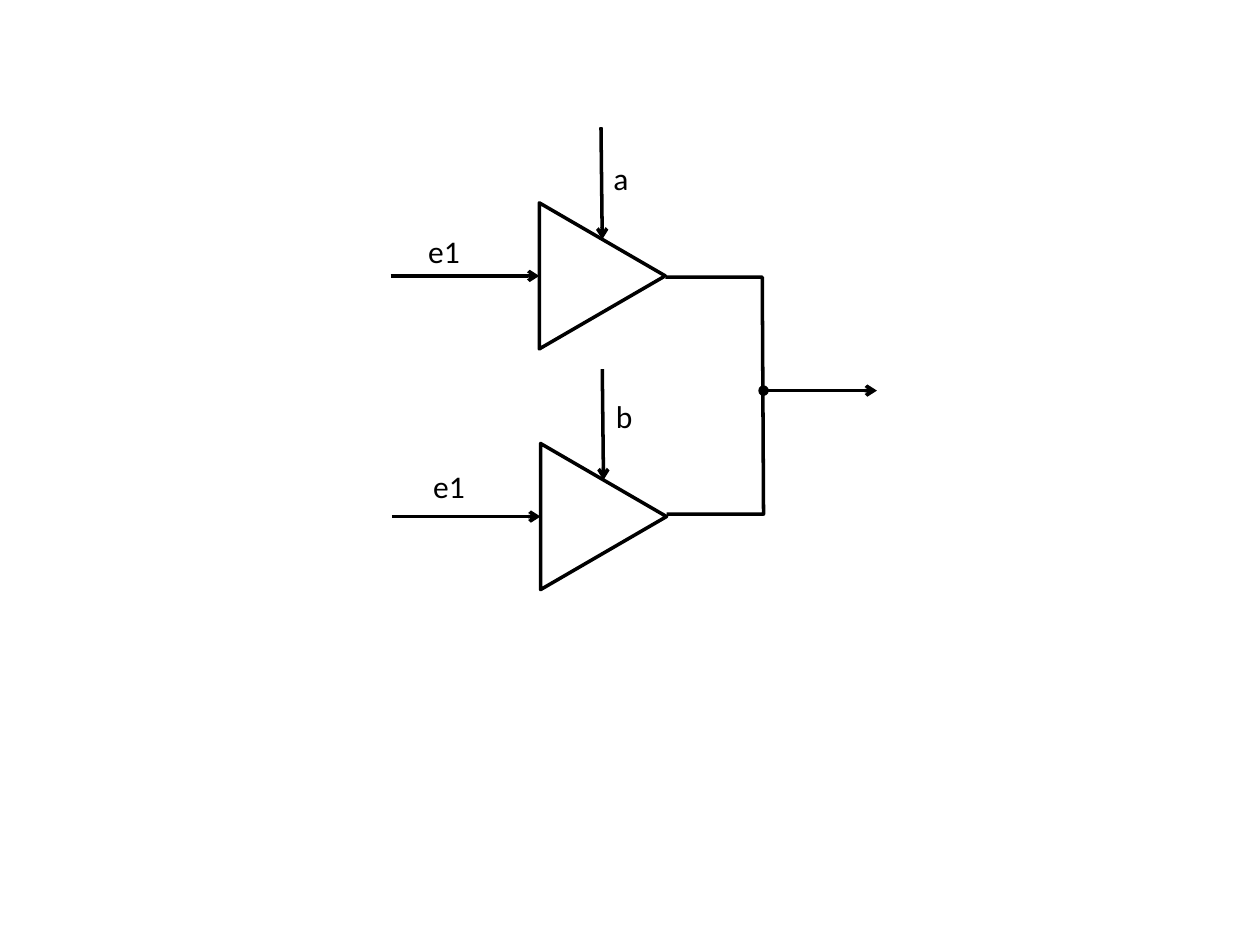
from dataclasses import dataclass

from lxml.etree import SubElement
from pptx import Presentation
from pptx.dml.color import RGBColor
from pptx.enum.shapes import MSO_CONNECTOR as Connector, MSO_SHAPE as Shape
from pptx.enum.text import MSO_AUTO_SIZE as AutoSize
from pptx.oxml.ns import qn
from pptx.util import Inches, Pt


@dataclass(frozen=True)
class Theme:
    ink: RGBColor = RGBColor(0, 0, 0)
    paper: RGBColor = RGBColor(255, 255, 255)
    font: str = "Calibri"
    text_size: Pt = Pt(18)
    line_width: Pt = Pt(2)


@dataclass(frozen=True)
class Point:
    x: float
    y: float


@dataclass(frozen=True)
class Label:
    text: str
    at: Point
    width: float


@dataclass(frozen=True)
class Amplifier:
    center: Point
    control_top: float
    signal: Label
    gain: Label


THEME = Theme()
DEPTH = 1.0
SPAN = 1.16
SIGNAL_LENGTH = 1.18
LABEL_HEIGHT = 0.4

AMPLIFIERS = [
    Amplifier(Point(4.78, 2.19), 1.01,
              Label("e1", Point(3.3, 1.79), 0.46), Label("a", Point(4.77, 1.21), 0.32)),
    Amplifier(Point(4.79, 4.1), 2.93,
              Label("e1", Point(3.34, 3.66), 0.46), Label("b", Point(4.79, 3.1), 0.33)),
]
BUS = [Point(5.28, 2.2), Point(6.05, 2.2), Point(6.06, 4.08), Point(5.29, 4.08)]
OUTPUT = Point(6.06, 3.1), Point(6.96, 3.1)


def style_outline(s) -> None:
    s.shadow.inherit = False
    s.fill.solid()
    s.fill.fore_color.rgb = THEME.paper
    s.line.color.rgb = THEME.ink
    s.line.width = THEME.line_width


def add_arrow(slide, start: Point, end: Point, dot: bool = False) -> None:
    c = slide.shapes.add_connector(
        Connector.STRAIGHT, Inches(start.x), Inches(start.y), Inches(end.x), Inches(end.y))
    c.line.color.rgb = THEME.ink
    c.line.width = THEME.line_width
    ln = c.line._get_or_add_ln()
    if dot:
        SubElement(ln, qn("a:headEnd"), type="oval")
    SubElement(ln, qn("a:tailEnd"), type="arrow")
    SubElement(c._element.spPr, qn("a:effectLst"))


def add_label(slide, label: Label) -> None:
    s = slide.shapes.add_textbox(
        Inches(label.at.x), Inches(label.at.y), Inches(label.width), Inches(LABEL_HEIGHT))
    tf = s.text_frame
    tf.word_wrap = False
    tf.auto_size = AutoSize.SHAPE_TO_FIT_TEXT
    r = tf.paragraphs[0].add_run()
    r.text = label.text
    r.font.name = THEME.font
    r.font.size = THEME.text_size
    r.font.color.rgb = THEME.ink


def add_amplifier(slide, amp: Amplifier) -> None:
    x, y = amp.center.x, amp.center.y
    s = slide.shapes.add_shape(
        Shape.ISOSCELES_TRIANGLE, Inches(x - SPAN / 2), Inches(y - DEPTH / 2),
        Inches(SPAN), Inches(DEPTH))
    s.rotation = 90
    style_outline(s)
    back = x - DEPTH / 2
    add_arrow(slide, Point(back - SIGNAL_LENGTH, y), Point(back, y))
    add_arrow(slide, Point(x - 0.01, amp.control_top), Point(x, y - SPAN / 4))
    add_label(slide, amp.gain)
    add_label(slide, amp.signal)


def add_bus(slide, points: list[Point]) -> None:
    first, *rest = [(Inches(p.x), Inches(p.y)) for p in points]
    builder = slide.shapes.build_freeform(*first)
    builder.add_line_segments(rest, close=False)
    style_outline(builder.convert_to_shape())


def main() -> None:
    prs = Presentation()
    prs.slide_width, prs.slide_height = Inches(10), Inches(7.5)
    slide = prs.slides.add_slide(prs.slide_layouts[6])
    for amp in AMPLIFIERS:
        add_amplifier(slide, amp)
    add_bus(slide, BUS)
    add_arrow(slide, *OUTPUT, dot=True)
    prs.save("out.pptx")


if __name__ == "__main__":
    main()
